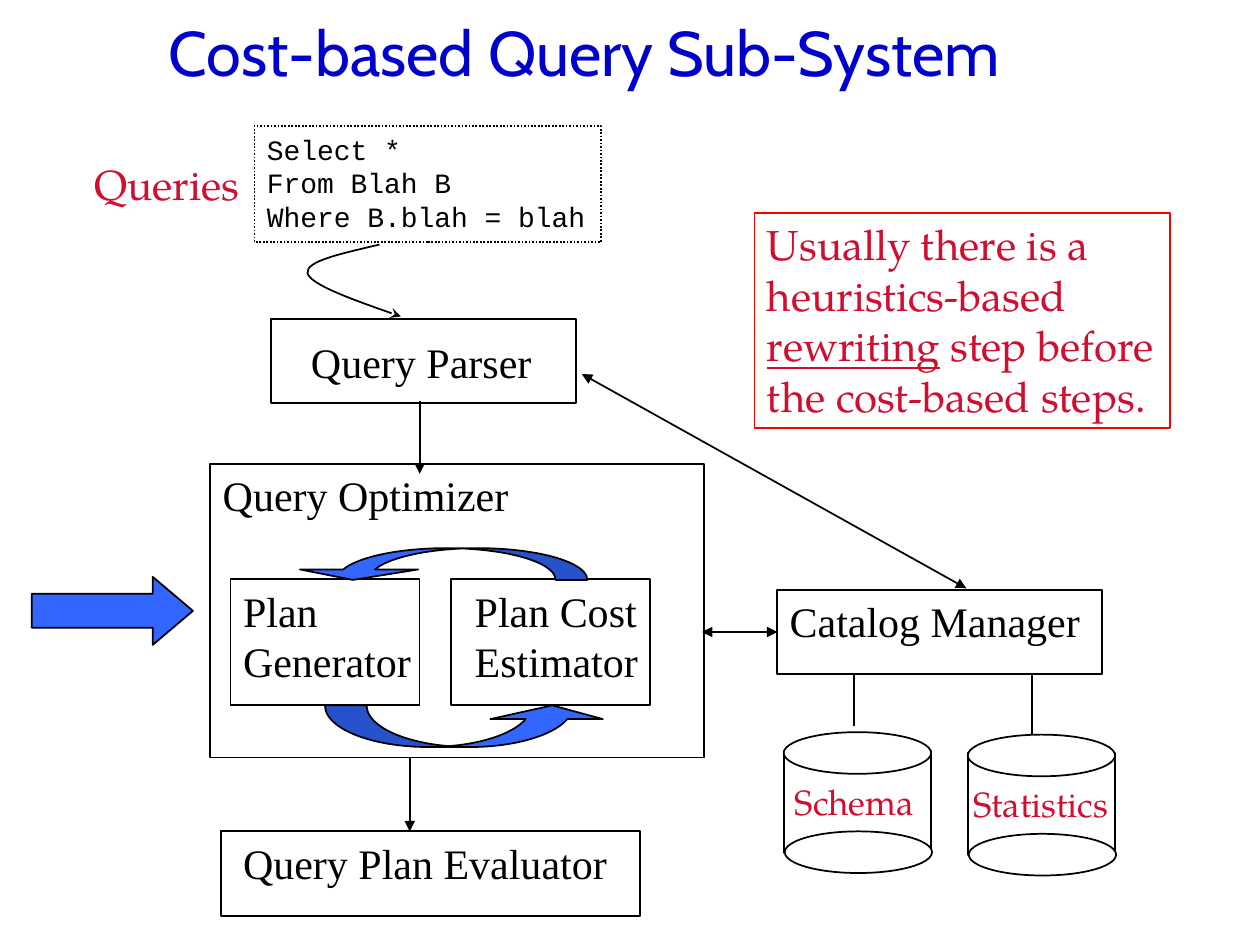
from pptx import Presentation
from pptx.dml.color import RGBColor
from pptx.enum import dml, shapes, text
from pptx.oxml.ns import qn
from pptx.util import Cm, Pt
from lxml import etree

BLACK = RGBColor(0, 0, 0)
WHITE = RGBColor(0xFF, 0xFF, 0xFF)
TITLE_BLUE = RGBColor(0, 0, 0xCC)
ARROW_BLUE = RGBColor(0x33, 0x66, 0xFF)
RED = RGBColor(0xFF, 0, 0)
CRIMSON = RGBColor(0xCF, 0x0E, 0x30)
SERIF, MONO, ACCENT = "Times New Roman", "Courier New", "TeX Gyre Pagella"
SHAPE = shapes.MSO_SHAPE

# Content: all lengths in cm, boxes as left, top, width, height
TITLE = "Cost-based Query Sub-System"
STAGES = {  # label: (label box, frame)
    "Query Parser": ((6.02, 6.65, 5.72, 1.27), (5.46, 6.43, 6.15, 1.7)),
    "Query Optimizer": ((4.24, 9.35, 17.15, 1.27), (4.24, 9.35, 9.96, 5.92)),
    "Plan Generator": ((4.65, 11.68, 4.65, 2.29), (4.65, 11.68, 3.81, 2.54)),
    "Plan Cost Estimator": ((9.32, 11.68, 5.72, 2.29), (9.09, 11.68, 4.01, 2.54)),
    "Query Plan Evaluator": ((4.65, 16.76, 11, 1.27), (4.45, 16.76, 8.46, 1.7)),
    "Catalog Manager": ((15.67, 11.89, 6.78, 1.27), (15.67, 11.89, 6.55, 1.7)),
}
LINKS = [  # x1, y1, x2, y2, ends with an arrowhead
    (8.26, 15.27, 8.26, 16.76, ["tailEnd"]),
    (8.46, 8.08, 8.46, 9.55, ["tailEnd"]),
    (11.73, 7.54, 19.48, 11.86, ["headEnd", "tailEnd"]),
    (17.22, 13.61, 17.22, 14.63, []),
    (20.8, 13.59, 20.8, 14.81, []),
]
CATALOG_LINK = (14.15, 12.74, 15.67, 12.74, ["headEnd", "tailEnd"])
BLOCK_ARROWS = [  # preset, box, rotation, adjustments
    (SHAPE.CURVED_UP_ARROW, (6.55, 14.22, 5.72, 0.84), 0, (1.35, 2.7, 0.33)),
    (SHAPE.CURVED_UP_ARROW, (5.92, 11.05, 5.92, 0.64), 180, (1.87, 3.73, 0.33)),
    (SHAPE.RIGHT_ARROW, (0.64, 11.63, 3.25, 1.37), 0, (0.5, 0.59)),
]
STORES = [  # label, left, top of the cylinder, label box
    ("Schema", 15.8, 14.76, (15.77, 15.6, 3.1, 1.09)),
    ("Statistics", 19.51, 14.81, (19.38, 15.65, 3.48, 1.09)),
]
NOTE = ["Usually there is a", "heuristics-based", "rewriting step before",
        "the cost-based steps."]
UNDERLINED = "rewriting"
SQL = ["Select *", "From Blah B", "Where B.blah = blah"]
QUERY_CURVE = [(7.65, 4.93), (6.91, 5.11), (6.15, 5.26), (6.2, 5.51),
               (6.27, 5.74), (7.19, 6.07), (8.08, 6.38)]

prs = Presentation()
prs.slide_width, prs.slide_height = Cm(25.4), Cm(19.05)
slide = prs.slides.add_slide(prs.slide_layouts[5])
parts = slide.shapes


def cm(values):
    return [Cm(v) for v in values]


def style_line(item, color=BLACK, ends=(), head="triangle"):
    item.line.color.rgb = color
    item.line.width = Pt(1)
    for end in ends:
        etree.SubElement(item.line._get_or_add_ln(), qn(f"a:{end}"), type=head)


def draw(preset, box, fill=None, line=BLACK):
    item = parts.add_shape(preset, *cm(box))
    item.shadow.inherit = False
    if fill is None:
        item.fill.background()
    else:
        item.fill.solid()
        item.fill.fore_color.rgb = fill
    style_line(item, line)
    return item


def write(item, lines, font, size, color, wrap=True):
    frame = item.text_frame
    frame.text = "\n".join(lines)
    frame.word_wrap = wrap
    frame.auto_size = text.MSO_AUTO_SIZE.SHAPE_TO_FIT_TEXT
    frame.vertical_anchor = text.MSO_ANCHOR.TOP
    for paragraph in frame.paragraphs:
        paragraph.alignment = text.PP_ALIGN.LEFT
        if paragraph.text.startswith(UNDERLINED):
            rest = paragraph.text[len(UNDERLINED):]
            paragraph.text = UNDERLINED
            paragraph.runs[0].font.underline = True
            paragraph.add_run().text = rest
        for run in paragraph.runs:
            run.font.name, run.font.size = font, Pt(size)
            run.font.color.rgb = color


def label(words, box, font, size, color, wrap=True):
    write(parts.add_textbox(*cm(box)), [words], font, size, color, wrap)


def link(x1, y1, x2, y2, ends):
    line = parts.add_connector(shapes.MSO_CONNECTOR.STRAIGHT, *cm((x1, y1, x2, y2)))
    style_line(line, ends=ends)
    etree.SubElement(line._element.spPr, qn("a:effectLst"))
    return line


# Title
title = parts.title
title.left, title.top, title.width, title.height = cm((3.15, 0, 21.59, 2.08))
write(title, [TITLE], "Cabin", 36, TITLE_BLUE)
title.text_frame.auto_size = text.MSO_AUTO_SIZE.NONE
title.text_frame.vertical_anchor = text.MSO_ANCHOR.MIDDLE

# Processing stages
frames = {}
for name, (label_box, frame_box) in STAGES.items():
    label(name, label_box, SERIF, 24, BLACK)
    frames[name] = draw(SHAPE.RECTANGLE, frame_box)

# Links between stages
for ends in LINKS:
    link(*ends)
link(*CATALOG_LINK).end_connect(frames["Catalog Manager"], 1)

# Block arrows
for preset, box, rotation, adjustments in BLOCK_ARROWS:
    arrow = draw(preset, box, ARROW_BLUE)
    arrow.rotation = rotation
    for i, value in enumerate(adjustments):
        arrow.adjustments[i] = value

# Catalog stores: a body with an ellipse at each end
for name, left, top, label_box in STORES:
    draw(SHAPE.RECTANGLE, (left, top + 0.37, 2.97, 2.06), WHITE)
    draw(SHAPE.OVAL, (left, top, 2.97, 0.84), WHITE)
    draw(SHAPE.OVAL, (left + 0.02, top + 2, 2.97, 0.84), WHITE)
    label(name, label_box, ACCENT, 20, CRIMSON)

# Rewriting note
note = draw(SHAPE.RECTANGLE, (15.21, 4.29, 8.38, 4.34), line=RED)
write(note, NOTE, ACCENT, 24, CRIMSON, wrap=False)

# Sample query
query = draw(SHAPE.RECTANGLE, (5.13, 2.54, 6.99, 2.34))
query.line.dash_style = dml.MSO_LINE.ROUND_DOT
write(query, SQL, MONO, 16, BLACK, wrap=False)
label("Queries", (1.65, 3.07, 3.43, 1.27), ACCENT, 24, CRIMSON, wrap=False)

# Curved arrow from query to parser: each three points form one Bezier segment
points = [cm(p) for p in QUERY_CURVE]
builder = parts.build_freeform(*points[0])
builder.add_line_segments(points[1:], close=False)
curve = builder.convert_to_shape()
curve.shadow.inherit = False
curve.fill.background()
style_line(curve, ends=["tailEnd"], head="stealth")
outline = curve._element.spPr.find(".//" + qn("a:path"))
steps = outline.findall(qn("a:lnTo"))
for i in range(0, len(steps), 3):
    bezier = etree.SubElement(outline, qn("a:cubicBezTo"))
    for step in steps[i:i + 3]:
        bezier.append(step[0])
        outline.remove(step)

prs.save("out.pptx")
